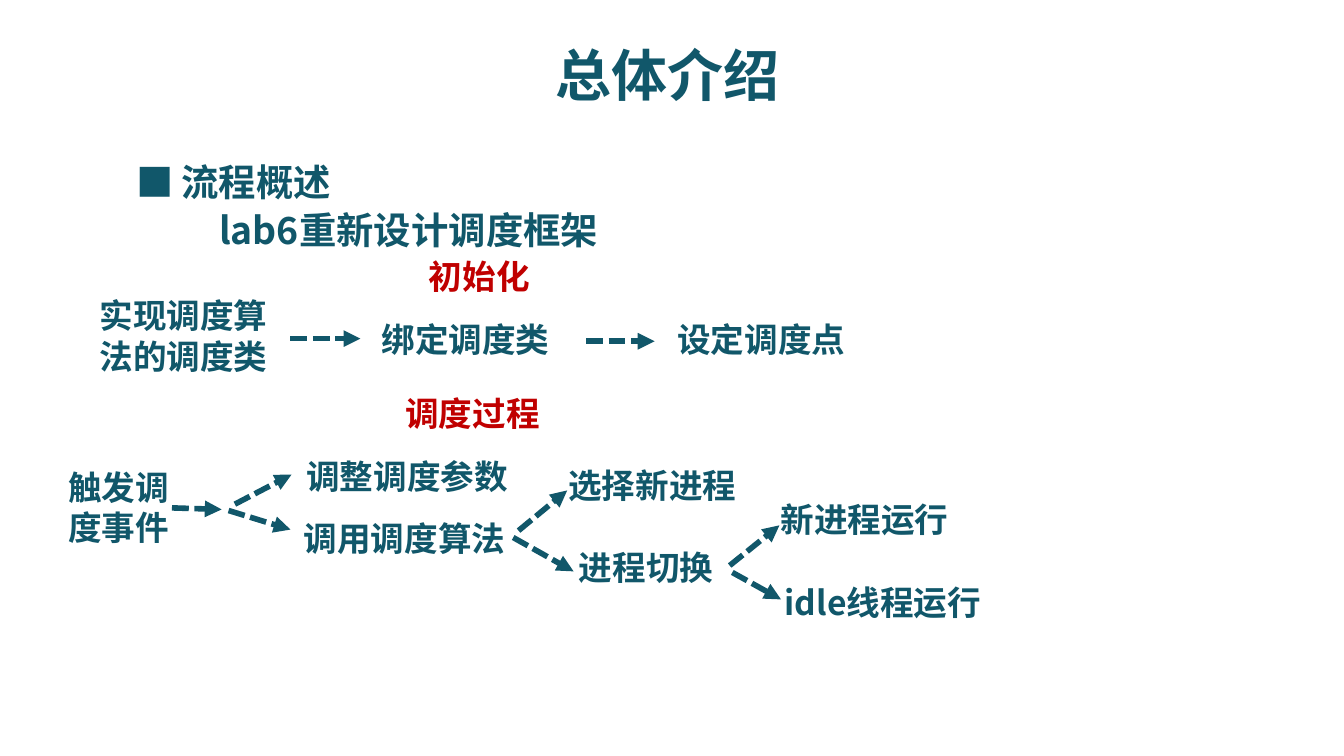
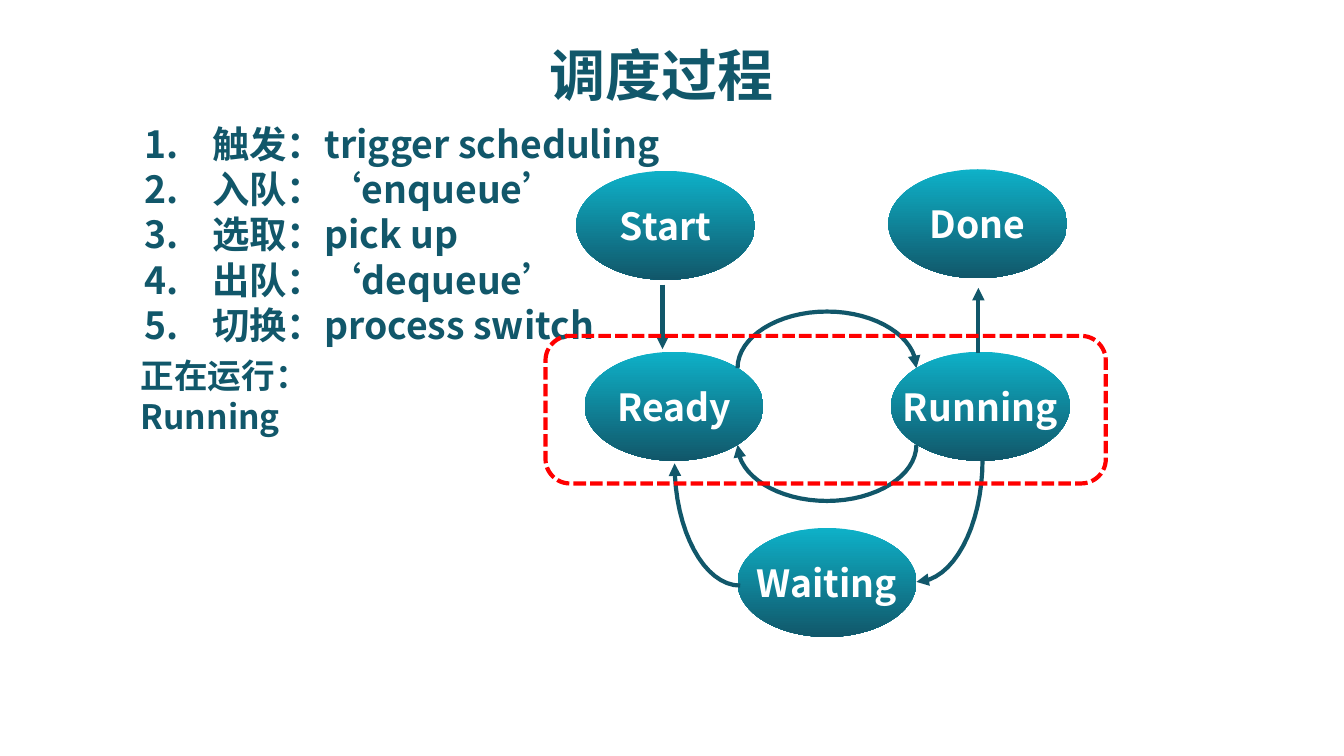
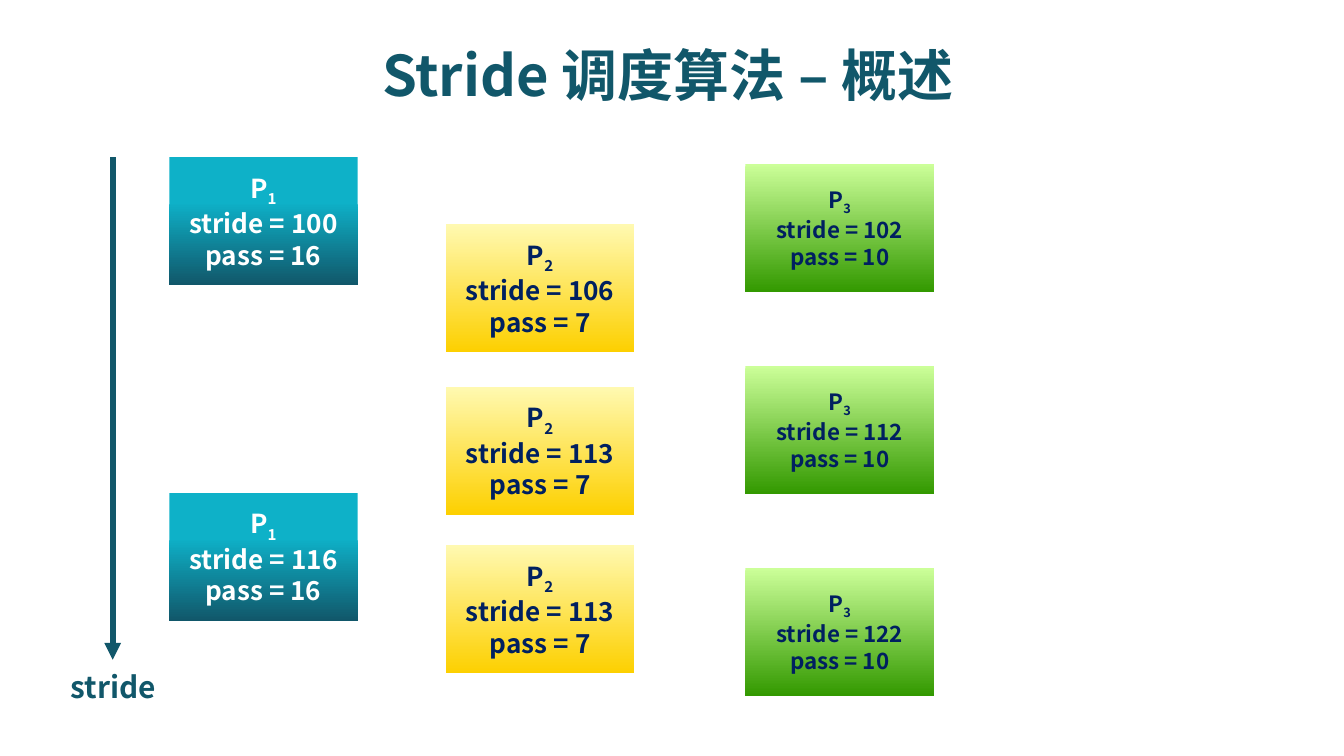
from lxml.etree import SubElement
from pptx import Presentation
from pptx.dml.color import RGBColor
from pptx.enum.dml import MSO_LINE
from pptx.enum.shapes import MSO_CONNECTOR as Link, MSO_SHAPE as Preset
from pptx.enum.text import MSO_ANCHOR as Anchor, PP_ALIGN as Align
from pptx.oxml.ns import qn
from pptx.util import Cm, Pt

COLORS = {
    "teal": "11576A", "cyan": "0EB1C8", "white": "FFFFFF", "navy": "002060",
    "crimson": "C00000", "red": "FF0000", "cream": "FFF9B1", "gold": "FDD000",
    "lime": "CCFF99", "green": "339900",
}
FONT = "Noto Sans CJK SC"
SQUARE_FONT = "Noto Sans CJK JP"
LEADING = 1.21
CARD = (3.56, 2.42)
OVAL = (3.38, 2.06)


def rgb(name):
    """Return the palette colour of that name."""
    return RGBColor.from_string(COLORS[name])


def write(shape, *lines, size=18, color="teal", font=FONT, align=Align.LEFT,
          anchor=Anchor.TOP, wrap=True, leading=LEADING, numbered=False):
    """Fill a shape with paragraphs; a line is text or a (text, subscript) pair."""
    frame = shape.text_frame
    frame.word_wrap = wrap
    frame.vertical_anchor = anchor
    for index, line in enumerate(lines):
        para = frame.add_paragraph() if index else frame.paragraphs[0]
        para.alignment = align
        if leading:
            para.line_spacing = Pt(round(size * leading, 1))
        if numbered:
            props = para._p.get_or_add_pPr()
            props.set("marL", str(Cm(1.27)))
            props.set("indent", str(Cm(-1.27)))
            SubElement(props, qn("a:buFont"), typeface="+mj-lt")
            SubElement(props, qn("a:buAutoNum"), type="arabicPeriod")
        pieces = (line,) if isinstance(line, str) else line
        for place, text in enumerate(pieces):
            span = para.add_run()
            span.text = text
            span.font.size = Pt(size)
            span.font.bold = True
            span.font.name = font
            span.font.color.rgb = rgb(color)
            props = span._r.get_or_add_rPr()
            SubElement(props, qn("a:ea"), typeface=font)
            if place:
                props.set("baseline", "-25000")


def label(page, left, top, width, height, *lines, **style):
    """Add a text box and write into it."""
    box = page.shapes.add_textbox(Cm(left), Cm(top), Cm(width), Cm(height))
    write(box, *lines, **style)
    return box


def stroke(shape, color="teal", weight=2.25, dashed=False, arrow=False):
    """Style the line of a shape or connector."""
    shape.line.color.rgb = rgb(color)
    shape.line.width = Pt(weight)
    if dashed:
        shape.line.dash_style = MSO_LINE.SQUARE_DOT
    if arrow:
        SubElement(shape.element.spPr.get_or_add_ln(), qn("a:tailEnd"), type="triangle")


def arrow(page, start, end, **style):
    """Draw a straight arrow."""
    ends = [Cm(value) for value in (*start, *end)]
    link = page.shapes.add_connector(Link.STRAIGHT, *ends)
    stroke(link, arrow=True, **style)
    SubElement(link.element.spPr, qn("a:effectLst"))


def quarter(start, corner, end, steps=16):
    """Return points of a quarter ellipse that bends towards a corner."""
    pull = 0.55
    first = [a + pull * (c - a) for a, c in zip(start, corner)]
    last = [b + pull * (c - b) for b, c in zip(end, corner)]
    points = []
    for step in range(1, steps + 1):
        t = step / steps
        u = 1 - t
        points.append(tuple(
            u ** 3 * a + 3 * u * u * t * f + 3 * u * t * t * g + t ** 3 * b
            for a, f, g, b in zip(start, first, last, end)))
    return points


def curved_arrow(page, left, top, *stops):
    """Draw an arrow through stops that alternate with corners."""
    stops = [(left + x, top + y) for x, y in stops]
    points = []
    for index in range(0, len(stops) - 2, 2):
        points += quarter(*stops[index:index + 3])
    x, y = stops[0]
    builder = page.shapes.build_freeform(Cm(x), Cm(y))
    builder.add_line_segments([(Cm(x), Cm(y)) for x, y in points], close=False)
    curve = builder.convert_to_shape()
    curve.shadow.inherit = False
    curve.fill.background()
    stroke(curve, arrow=True)


def gradient_shape(page, preset, left, top, size, colors, start=0.0):
    """Add a borderless shape with a gradient from top to bottom."""
    shape = page.shapes.add_shape(preset, Cm(left), Cm(top), *map(Cm, size))
    shape.shadow.inherit = False
    shape.line.fill.background()
    shape.fill.gradient()
    shape.fill.gradient_angle = 270
    for stop, color, position in zip(shape.fill.gradient_stops, colors, (start, 1.0)):
        stop.color.rgb = rgb(color)
        stop.position = position
    return shape


def new_page(deck, title):
    """Add a blank page with the shared title."""
    page = deck.slides.add_slide(deck.slide_layouts[6])
    label(page, 1.19, 0.64, 22.86, 1.42, title, size=30, align=Align.CENTER)
    return page


def overview(page, left, top):
    """Place the bullet heading and its subheading."""
    label(page, left, top, 1.19, 1.12, "■", size=20, font=SQUARE_FONT)
    label(page, left + 0.84, top, 4.17, 1.19, "流程概述", size=20)
    label(page, left + 1.55, top + 0.91, 10.41, 1.14, "lab6重新设计调度框架", size=20)


def flow(page, left, top, caption, caption_left, steps, links):
    """Place a red caption, the flow steps and the dashed arrows between them."""
    label(page, left + caption_left, top, 3.38, 1.02, caption,
          color="crimson", align=Align.CENTER)
    for text, x, y, width, height in steps:
        label(page, left + x, top + y, width, height, text)
    for x1, y1, x2, y2 in links:
        arrow(page, (left + x1, top + y1), (left + x2, top + y2), weight=3, dashed=True)


def step_list(page, left, top):
    """Place the numbered steps and the note under them."""
    label(page, left, top, 10.62, 4.52, "触发：trigger scheduling", "入队：‘enqueue’",
          "选取：pick up", "出队：‘dequeue’", "切换：process switch",
          size=20, numbered=True)
    note = label(page, left - 0.08, top + 4.42, 6.45, 1.02, "正在运行：Running")
    note.text_frame.margin_right = Cm(2.3)


def state_diagram(page, left, top):
    """Place the process states, their transitions and the red frame."""
    states = [("Running", 6.53, 3.45), ("Ready", 0.74, 3.45), ("Waiting", 3.63, 6.78),
              ("Start", 0.58, 0.03), ("Done", 6.48, 0)]
    for name, x, y in states:
        oval = gradient_shape(page, Preset.OVAL, left + x, top + y, OVAL, ("cyan", "teal"))
        write(oval, name, size=20, color="white", align=Align.CENTER,
              anchor=Anchor.MIDDLE, wrap=False)
    for x, y1, y2 in [(2.21, 2.18, 3.4), (8.18, 3.48, 2.24)]:
        arrow(page, (left + x, top + y1), (left + x, top + y2))
    curves = [
        [(8.26, 5.49), (8.26, 7.8), (7.01, 7.8)],
        [(3.68, 7.87), (2.44, 7.87), (2.44, 5.56)],
        [(3.63, 3.76), (3.63, 2.69), (5.32, 2.69), (7.01, 2.69), (7.01, 3.76)],
        [(7.01, 5.21), (7.01, 6.27), (5.32, 6.27), (3.63, 6.27), (3.63, 5.21)],
    ]
    for stops in curves:
        curved_arrow(page, left, top, *stops)
    frame = page.shapes.add_shape(Preset.ROUNDED_RECTANGLE, Cm(left), Cm(top + 3.15),
                                  Cm(10.59), Cm(2.79))
    frame.shadow.inherit = False
    frame.fill.background()
    stroke(frame, color="red", dashed=True)


def stride_board(page, left, top):
    """Place the stride axis and one column of cards for each process."""
    arrow(page, (left + 1.04, top), (left + 1.04, top + 9.5), weight=3)
    label(page, left, top + 9.53, 2.3, 0.94, "stride", size=16)
    columns = [
        (2.11, 16, ("cyan", "teal"), 0.35, "white", 14, [(0, 100), (6.35, 116)]),
        (7.34, 7, ("cream", "gold"), 0.0, "navy", 14,
         [(1.27, 106), (4.34, 113), (7.34, 113)]),
        (13, 10, ("lime", "green"), 0.0, "navy", 12,
         [(0.13 + 3.82 * row, 102 + 10 * row) for row in range(3)]),
    ]
    for number, (x, step, colors, start, ink, size, cards) in enumerate(columns, 1):
        for y, stride in cards:
            card = gradient_shape(page, Preset.RECTANGLE, left + x, top + y, CARD,
                                  colors, start)
            write(card, ("P", str(number)), f"stride = {stride}", f"pass = {step}",
                  size=size, color=ink, align=Align.CENTER, anchor=Anchor.MIDDLE,
                  leading=None)


deck = Presentation()
deck.slide_width, deck.slide_height = Cm(25.4), Cm(14.29)

page = new_page(deck, "总体介绍")
overview(page, 2.34, 2.87)
flow(page, 1.63, 4.7, "初始化", 5.74,
     steps=[("实现调度算法的调度类", 0, 0.74, 3.96, 1.8),
            ("绑定调度类", 5.33, 1.19, 3.96, 1.02),
            ("设定调度点", 10.92, 1.19, 3.71, 1.02)],
     links=[(3.86, 1.7, 5.18, 1.7), (9.45, 1.75, 10.74, 1.75)])
flow(page, 1.04, 7.29, "调度过程", 6.2,
     steps=[("触发调度事件", 0, 1.4, 2.84, 1.8),
            ("调整调度参数", 4.5, 1.19, 4.62, 1.02),
            ("调用调度算法", 4.45, 2.36, 4.65, 1.02),
            ("选择新进程", 9.45, 1.37, 3.68, 1.02),
            ("进程切换", 9.65, 2.92, 3.38, 1.02),
            ("新进程运行", 13.46, 2.01, 3.96, 1.02),
            ("idle线程运行", 13.54, 3.58, 4.5, 1.02)],
     links=[(2.21, 2.31, 3.15, 2.34), (3.4, 2.24, 4.47, 1.68),
            (3.28, 2.36, 4.45, 2.72), (8.66, 2.87, 9.8, 3.51),
            (8.76, 2.74, 9.68, 1.98), (12.75, 3.4, 13.69, 2.64),
            (12.8, 3.53, 13.72, 4.04)])

page = new_page(deck, "调度过程 ")
step_list(page, 2.49, 2.16)
state_diagram(page, 10.31, 3.2)

page = new_page(deck, "Stride 调度算法 – 概述")
stride_board(page, 1.09, 2.97)

deck.save("out.pptx")
